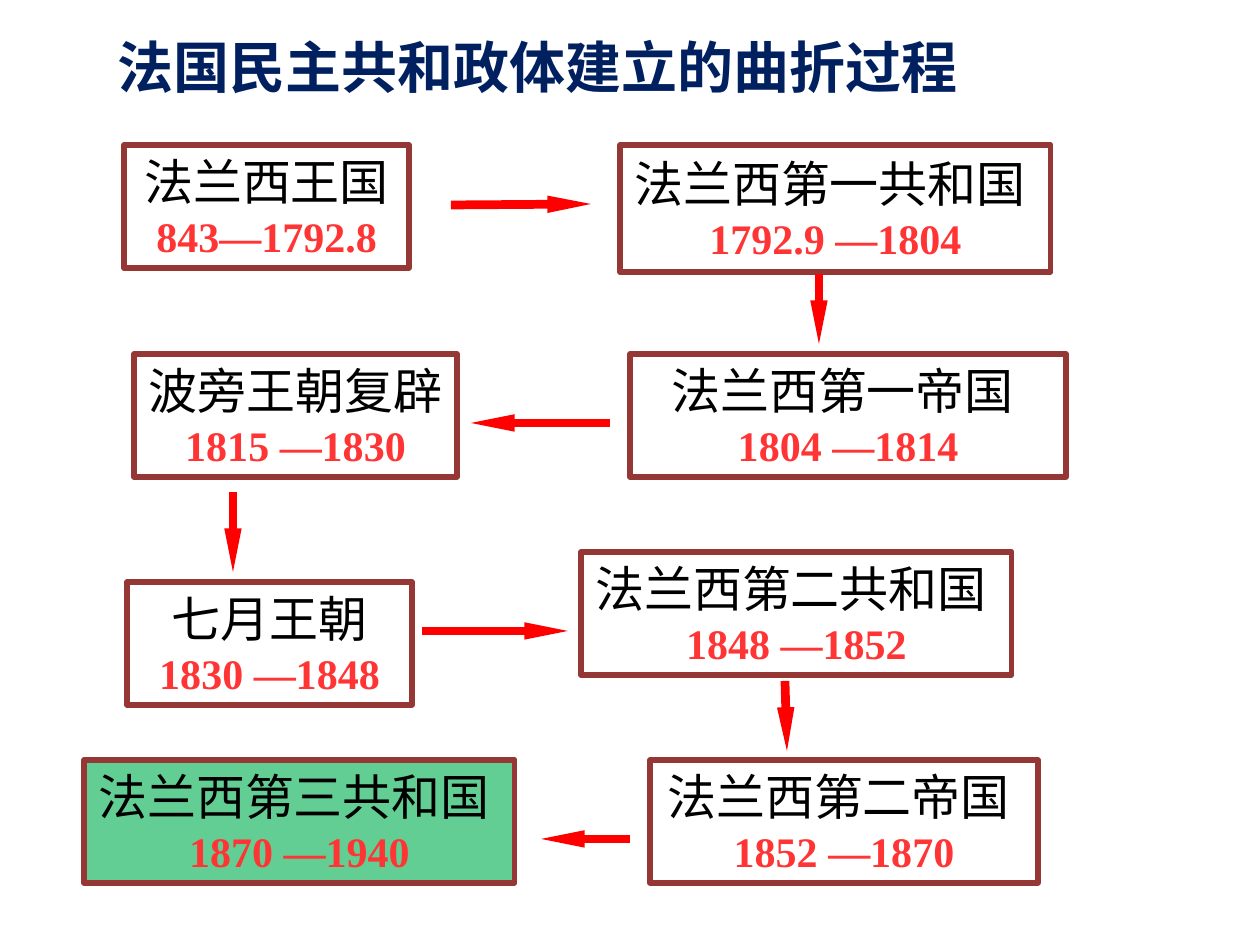
from lxml import etree
from pptx import Presentation
from pptx.dml.color import RGBColor
from pptx.enum.shapes import MSO_CONNECTOR, MSO_SHAPE
from pptx.enum.text import MSO_ANCHOR, PP_ALIGN
from pptx.oxml.ns import qn
from pptx.util import Emu, Pt

RECTANGLE = MSO_SHAPE.RECTANGLE
STRAIGHT = MSO_CONNECTOR.STRAIGHT
MIDDLE = MSO_ANCHOR.MIDDLE
LEFT, CENTER = PP_ALIGN.LEFT, PP_ALIGN.CENTER

NAVY = RGBColor(0x00, 0x20, 0x60)
BLACK = RGBColor(0x00, 0x00, 0x00)
DATE_RED = RGBColor(0xFF, 0x35, 0x35)
ARROW_RED = RGBColor(0xFF, 0x00, 0x00)
BROWN = RGBColor(0x95, 0x37, 0x35)
GREEN = RGBColor(0x00, 0xB0, 0x50)

TITLE_FONT = "Noto Sans CJK SC"
BODY_FONT = "Times New Roman"
EMU_PER_PX = 914400 // 126
BOX_HEIGHT = 123

REGIMES = [
    ("法兰西王国", "843—1792.8", 124, 145, 285, BOX_HEIGHT),
    ("法兰西第一共和国 ", "1792.9 —1804", 620, 145, 431, 127),
    ("法兰西第一帝国 ", "1804 —1814", 630, 354, 436, BOX_HEIGHT),
    ("波旁王朝复辟", "1815 —1830", 134, 354, 323, BOX_HEIGHT),
    ("七月王朝", "1830 —1848", 127, 582, 285, BOX_HEIGHT),
    ("法兰西第二共和国 ", "1848 —1852", 581, 552, 431, BOX_HEIGHT),
    ("法兰西第二帝国 ", "1852 —1870", 650, 760, 388, BOX_HEIGHT),
]
THIRD_REPUBLIC = ("法兰西第三共和国 ", "1870 —1940", 84, 760, 431, BOX_HEIGHT)

ARROWS = [
    (451, 205, 591, 204),
    (819, 274, 819, 344),
    (610, 423, 471, 423),
    (233, 492, 233, 572),
    (422, 631, 568, 631),
    (785, 681, 787, 751),
    (630, 839, 541, 839),
]


def px(*lengths):
    return [Emu(length * EMU_PER_PX) for length in lengths]


def format_paragraph(paragraph, name, size, color, bold, alignment):
    paragraph.alignment = alignment
    font = paragraph.font
    font.name = name
    font.size = Pt(size)
    font.color.rgb = color
    font.bold = bold


def set_title(slide, text):
    title = slide.shapes.title
    title.left, title.top, title.width, title.height = px(105, 26, 873, 81)
    frame = title.text_frame
    frame.text = text
    frame.word_wrap = False
    frame.vertical_anchor = MIDDLE
    paragraph = frame.paragraphs[0]
    format_paragraph(paragraph, TITLE_FONT, 32, NAVY, True, LEFT)
    properties = paragraph._p.pPr.find(qn("a:defRPr"))
    etree.SubElement(properties, qn("a:ea"), typeface=TITLE_FONT)


def add_regime(slide, name, years, left, top, width, height):
    box = slide.shapes.add_shape(RECTANGLE, *px(left, top, width, height))
    box.shadow.inherit = False
    box.fill.background()
    box.line.color.rgb = BROWN
    box.line.width = Pt(3)
    frame = box.text_frame
    frame.word_wrap = True
    frame.vertical_anchor = MIDDLE
    frame.text = f"{name}\n{years}"
    heading, dates = frame.paragraphs
    format_paragraph(heading, BODY_FONT, 28, BLACK, False, CENTER)
    format_paragraph(dates, BODY_FONT, 24, DATE_RED, True, CENTER)
    return box


def fill_translucent(shape, color, percent):
    shape.fill.solid()
    shape.fill.fore_color.rgb = color
    color_element = shape._element.spPr.find(qn("a:solidFill"))[0]
    etree.SubElement(color_element, qn("a:alpha"), val=str(percent * 1000))


def add_arrow(slide, *ends):
    arrow = slide.shapes.add_connector(STRAIGHT, *px(*ends))
    arrow.line.color.rgb = ARROW_RED
    arrow.line.width = Pt(5)
    properties = arrow._element.spPr
    etree.SubElement(properties.find(qn("a:ln")), qn("a:tailEnd"),
                     type="triangle", w="sm", len="lg")
    etree.SubElement(properties, qn("a:effectLst"))


def main():
    presentation = Presentation()
    presentation.slide_width, presentation.slide_height = px(1260, 945)
    slide = presentation.slides.add_slide(presentation.slide_layouts[5])
    set_title(slide, "法国民主共和政体建立的曲折过程")
    for regime in REGIMES:
        add_regime(slide, *regime)
    fill_translucent(add_regime(slide, *THIRD_REPUBLIC), GREEN, 61)
    for ends in ARROWS:
        add_arrow(slide, *ends)
    presentation.save("out.pptx")


if __name__ == "__main__":
    main()
